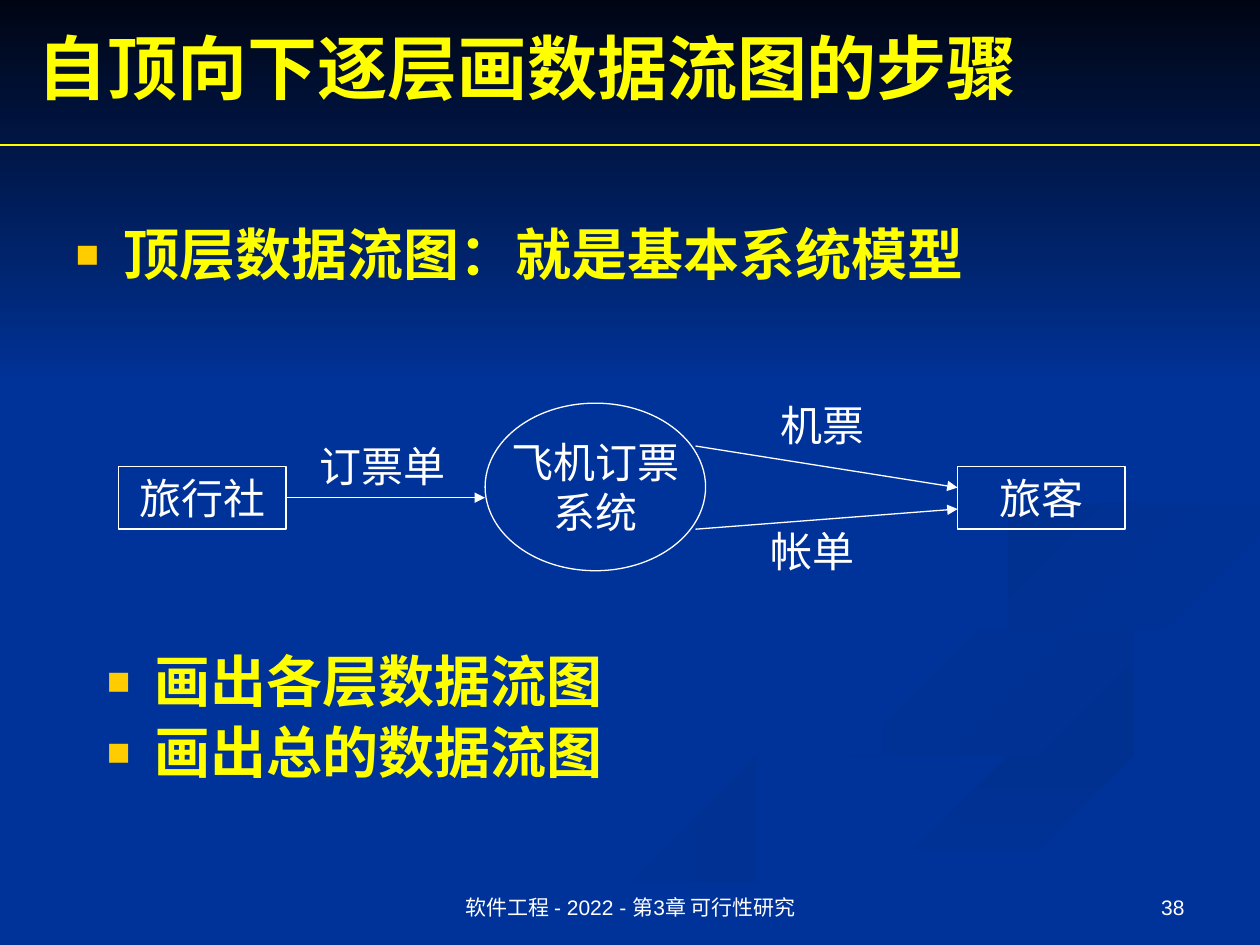
from dataclasses import dataclass

from lxml import etree
from pptx import Presentation
from pptx import util as u
from pptx.dml.color import RGBColor
from pptx.enum import shapes, text
from pptx.oxml.ns import qn


@dataclass(frozen=True)
class Theme:
    background: str = "003399"
    night: str = "000514"
    shade: str = "003090"
    yellow: str = "FFFF00"
    white: str = "FFFFFF"
    bullet: str = "FFCC00"
    serif: str = "Times New Roman"
    sans: str = "Arial"
    title_size: int = 40
    list_size: int = 32
    label_size: int = 24
    footer_size: int = 12
    line_width: float = 0.75


theme = Theme()
rgb = RGBColor.from_string


def write(box, lines, size, color=theme.white, font=theme.serif, bold=False,
          align=text.PP_ALIGN.LEFT, anchor=text.MSO_ANCHOR.TOP, wrap=True, bullets=False):
    """Fill a box with one formatted paragraph per line."""
    frame = box.text_frame
    frame.auto_size = text.MSO_AUTO_SIZE.NONE
    frame.word_wrap = wrap
    frame.vertical_anchor = anchor
    for index, line in enumerate(lines):
        para = frame.add_paragraph() if index else frame.paragraphs[0]
        para.alignment = align
        para.space_before = u.Pt(0)
        if bullets:
            para.line_spacing = 0.9
            para.space_before = u.Pt(6 if index else 0)
            props = para._p.get_or_add_pPr()
            props.set("marL", str(u.Inches(0.38)))
            props.set("indent", str(u.Inches(-0.38)))
            bullet_color = etree.SubElement(props, qn("a:buClr"))
            etree.SubElement(bullet_color, qn("a:srgbClr"), val=theme.bullet)
            etree.SubElement(props, qn("a:buSzPct"), val="70000")
            etree.SubElement(props, qn("a:buFont"), typeface=theme.sans)
            etree.SubElement(props, qn("a:buChar"), char="■")
        span = para.add_run()
        span.text = line
        span.font.size = u.Pt(size)
        span.font.name = font
        span.font.bold = bold
        span.font.color.rgb = rgb(color)


def paint(shape, start, end, angle):
    """Fill a borderless shape with a gradient; the angle runs clockwise."""
    shape.shadow.inherit = False
    shape.line.fill.background()
    shape.fill.gradient()
    shape.fill.gradient_angle = (360 - angle) % 360
    for stop, color in zip(shape.fill.gradient_stops, (start, end)):
        stop.color.rgb = rgb(color)


deck = Presentation()
deck.slide_width, deck.slide_height = u.Inches(10), u.Inches(7.5)
page = deck.slides.add_slide(deck.slide_layouts[1])
page.background.fill.solid()
page.background.fill.fore_color.rgb = rgb(theme.background)

# Background ribbons: first colour, last colour, angle, then the two edges in inches
ribbons = [
    (theme.background, theme.shade, 0,
     [(5.75, 4.59), (5.83, 4.77), (6.26, 5.02), (7.15, 5.28), (7.81, 5.53), (8, 5.81),
      (7.8, 6.05), (6.76, 6.34), (4.99, 6.87), (3.61, 7.49)],
     [(3, 7.49), (4.58, 6.74), (6.52, 6.2), (7.59, 5.9), (7.86, 5.66), (7.52, 5.43),
      (6.31, 5.05), (5.76, 4.8), (5.75, 4.59)]),
    (theme.background, theme.shade, 45,
     [(7.24, 4.64), (7.45, 4.9), (8.3, 5.19), (9.19, 5.47), (9.43, 5.7), (8.94, 6.05)],
     [(8.94, 6.05), (9.18, 5.81), (8.92, 5.53), (7.97, 5.24), (7.39, 4.94), (7.24, 4.64)]),
    (theme.shade, theme.background, 90,
     [(5.03, 7.49), (6.3, 6.93), (7.64, 6.47), (9.98, 5.81)],
     [(9.98, 6.09), (8.21, 6.51), (6.7, 7.02), (5.71, 7.49)]),
    (theme.shade, theme.background, 45,
     [(8.26, 4.96), (7.91, 4.78), (7.81, 4.6), (8.1, 4.37), (8.98, 4.18), (9.98, 4.02)],
     [(9.98, 4.2), (8.78, 4.39), (8.16, 4.59), (8.05, 4.76), (8.26, 4.96)]),
    (theme.shade, theme.background, 45,
     [(7.62, 2.33), (8.43, 2.75), (8.86, 3.16), (8.89, 3.62), (8.25, 4.02), (6.83, 4.3),
      (6.06, 4.52), (5.97, 4.8), (6.22, 5)],
     [(6.22, 5), (5.8, 4.74), (5.89, 4.41), (6.76, 4.14), (8.18, 3.86), (8.82, 3.54),
      (8.85, 3.2), (8.46, 2.79), (7.62, 2.33)]),
]
steps_per_span = 4
for start, end, angle, *edges in ribbons:
    outline = []
    for edge in edges:
        # Catmull-Rom curve through the points of the edge
        padded = [edge[0], *edge, edge[-1]]
        for spot in zip(padded, padded[1:], padded[2:], padded[3:]):
            for step in range(steps_per_span):
                t = step / steps_per_span
                outline.append(tuple(
                    b + t * (c - a + t * (2 * a - 5 * b + 4 * c - d + t * (3 * b - a - 3 * c + d))) / 2
                    for a, b, c, d in zip(*spot)))
        outline.append(edge[-1])
    builder = page.shapes.build_freeform(*outline[0], scale=u.Inches(1))
    builder.add_line_segments(outline[1:], close=True)
    paint(builder.convert_to_shape(), start, end, angle)

sky = page.shapes.add_shape(shapes.MSO_SHAPE.RECTANGLE, 0, 0, u.Inches(10), u.Inches(3.08))
paint(sky, theme.night, theme.background, 90)

# Title and lists; the placeholders are brought in front of the background
title, body = page.shapes.title, page.placeholders[1]
for holder, left, top, height in [(title, 0.2, 0.14, 0.77), (body, 0.5, 1.75, 1.13)]:
    holder.left, holder.top = u.Inches(left), u.Inches(top)
    holder.width, holder.height = u.Inches(9), u.Inches(height)
    page.shapes.element.append(holder.element)
steps = page.shapes.add_textbox(u.Inches(0.75), u.Inches(5.14), u.Inches(9), u.Inches(1.13))
write(title, ["自顶向下逐层画数据流图的步骤"], theme.title_size, theme.yellow, bold=True,
      anchor=text.MSO_ANCHOR.MIDDLE)
write(body, ["顶层数据流图：就是基本系统模型"], theme.list_size, theme.yellow, bold=True, bullets=True)
write(steps, ["画出各层数据流图", "画出总的数据流图"], theme.list_size, theme.yellow, bold=True, bullets=True)

# Data flow diagram
nodes = [
    (shapes.MSO_SHAPE.RECTANGLE, 0.94, 3.7, 1.33, 0.5, ["旅行社"]),
    (shapes.MSO_SHAPE.RECTANGLE, 7.6, 3.7, 1.33, 0.5, ["旅客"]),
    (shapes.MSO_SHAPE.OVAL, 3.85, 3.2, 1.75, 1.33, ["飞机订票", "系统"]),
]
for kind, left, top, width, height, lines in nodes:
    node = page.shapes.add_shape(kind, u.Inches(left), u.Inches(top), u.Inches(width), u.Inches(height))
    node.shadow.inherit = False
    node.fill.background()
    node.line.color.rgb = rgb(theme.white)
    node.line.width = u.Pt(theme.line_width)
    write(node, lines, theme.label_size, align=text.PP_ALIGN.CENTER,
          anchor=text.MSO_ANCHOR.MIDDLE, wrap=False)

rules = [
    (0, 1.15, 10, 1.15, theme.yellow, False),
    (2.27, 3.95, 3.85, 3.95, theme.white, True),
    (5.52, 3.54, 7.6, 3.87, theme.white, True),
    (5.52, 4.2, 7.6, 4.04, theme.white, True),
]
for x1, y1, x2, y2, color, arrow in rules:
    line = page.shapes.add_connector(shapes.MSO_CONNECTOR.STRAIGHT, u.Inches(x1), u.Inches(y1),
                                     u.Inches(x2), u.Inches(y2))
    line.line.color.rgb = rgb(color)
    line.line.width = u.Pt(theme.line_width)
    if arrow:
        etree.SubElement(line.line._get_or_add_ln(), qn("a:tailEnd"), type="triangle")
    etree.SubElement(line._element.spPr, qn("a:effectLst"))

for left, top, width, label in [(2.44, 3.45, 1.2, "订票单"), (6.1, 3.12, 0.87, "机票"), (6.02, 4.12, 0.87, "帐单")]:
    box = page.shapes.add_textbox(u.Inches(left), u.Inches(top), u.Inches(width), u.Inches(0.5))
    write(box, [label], theme.label_size, wrap=False)

# Footer and page number
for left, width, align, label in [
    (3.42, 3.17, text.PP_ALIGN.CENTER, "软件工程 - 2022 - 第3章 可行性研究"),
    (7.17, 2.33, text.PP_ALIGN.RIGHT, "38"),
]:
    box = page.shapes.add_textbox(u.Inches(left), u.Inches(6.83), u.Inches(width), u.Inches(0.52))
    write(box, [label], theme.footer_size, font=theme.sans, align=align, anchor=text.MSO_ANCHOR.BOTTOM)

deck.save("out.pptx")
